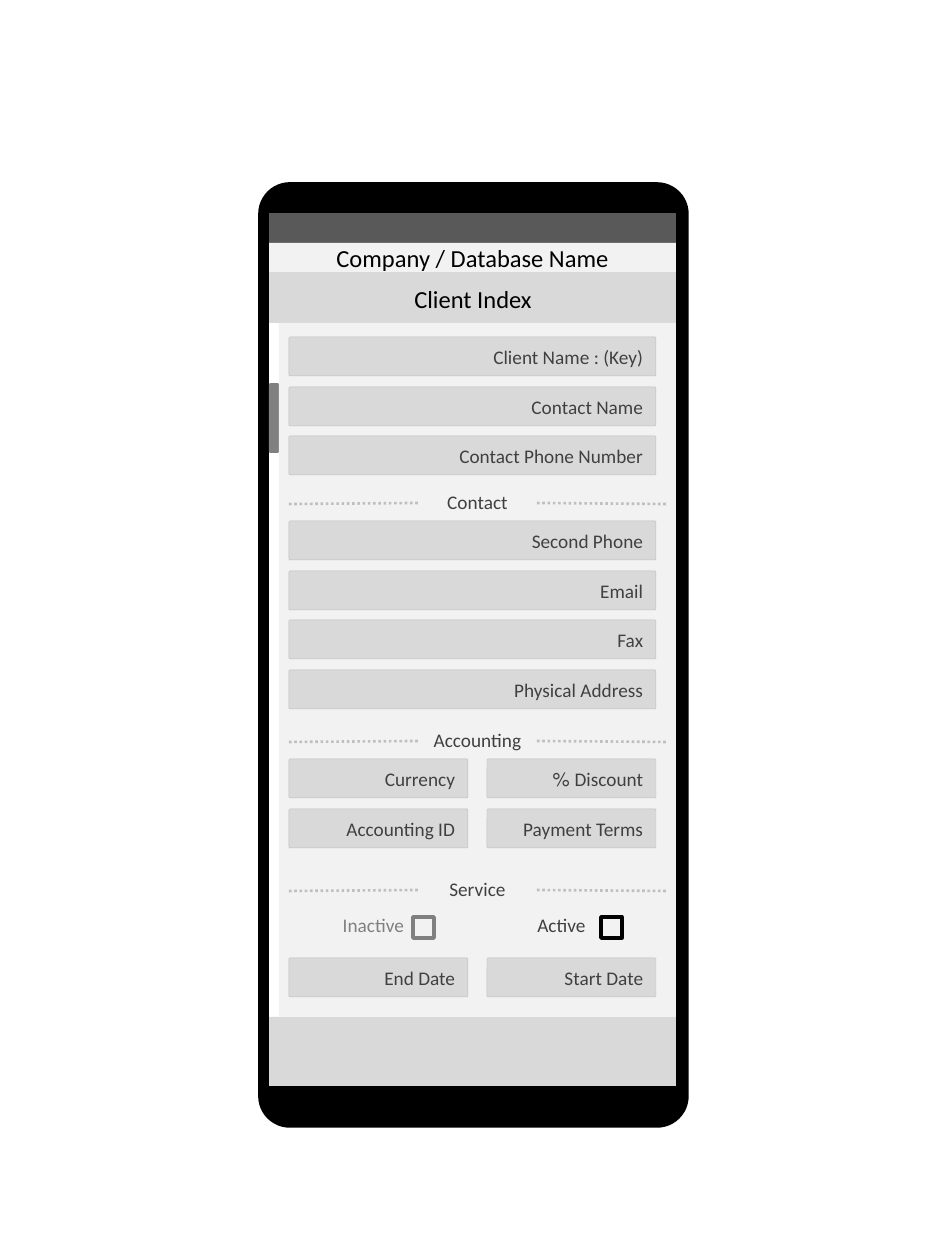
"""Build a phone wireframe of a client index form."""
from lxml.etree import SubElement
from pptx import Presentation
from pptx.dml.color import RGBColor
from pptx.enum.dml import MSO_LINE
from pptx.enum.shapes import MSO_CONNECTOR, MSO_SHAPE
from pptx.enum.text import MSO_ANCHOR, PP_ALIGN
from pptx.oxml.ns import qn
from pptx.util import Pt

PX = 914400 / 126
COLORS = {
    "black": "000000", "white": "FFFFFF", "status": "595959", "page": "F2F2F2",
    "panel": "D9D9D9", "border": "BFBFBF", "muted": "808080", "text": "404040",
}

presentation = Presentation()
presentation.slide_width = round(945 * PX)
presentation.slide_height = round(1260 * PX)
slide = presentation.slides.add_slide(presentation.slide_layouts[6])


def add_box(box, fill=None, line=None, width=0.25, radius=None):
    kind = MSO_SHAPE.RECTANGLE if radius is None else MSO_SHAPE.ROUNDED_RECTANGLE
    shape = slide.shapes.add_shape(kind, *[round(value * PX) for value in box])
    shape.shadow.inherit = False
    if radius is not None:
        shape.adjustments[0] = radius
    if fill:
        shape.fill.solid()
        shape.fill.fore_color.rgb = RGBColor.from_string(COLORS[fill])
    else:
        shape.fill.background()
    if line:
        shape.line.color.rgb = RGBColor.from_string(COLORS[line])
        shape.line.width = Pt(width)
    else:
        shape.line.fill.background()
    return shape


def write(shape, text, size=11, color="text", align=PP_ALIGN.CENTER):
    shape.text_frame.word_wrap = True
    shape.text_frame.vertical_anchor = MSO_ANCHOR.MIDDLE
    paragraph = shape.text_frame.paragraphs[0]
    paragraph.text = text
    paragraph.alignment = align
    paragraph.font.name = "Calibri"
    paragraph.font.size = Pt(size)
    paragraph.font.color.rgb = RGBColor.from_string(COLORS[color])
    return paragraph


add_box((260, 184, 427, 942), "black", "black", 2, 0.07)
for top, height, fill in [
    (213, 30, "status"), (243, 843, "white"), (253, 70, "panel"), (1017, 69, "panel"),
]:
    add_box((269, top, 407, height), fill)

write(add_box((269, 243, 407, 29), "page"), "Company / Database Name", 14, "black")
add_box((269, 383, 10, 70), "muted", radius=0.17)
write(add_box((339, 284, 268, 29), "panel"), "Client Index", 14, "black")
add_box((279, 323, 397, 694), "page")

FULL, LEFT, RIGHT = (289, 367), (289, 179), (487, 169)
FIELDS = [
    (FULL, 337, ["Client Name : (Key)", "Contact Name", "Contact Phone Number"]),
    (FULL, 521, ["Second Phone", "Email", "Fax", "Physical Address"]),
    (LEFT, 759, ["Currency", "Accounting ID"]),
    (RIGHT, 759, ["Discount %", "Payment Terms"]),
    (LEFT, 958, ["End Date"]),
    (RIGHT, 958, ["Start Date"]),
]
for (left, width), first_top, names in FIELDS:
    for row, name in enumerate(names):
        box = (left, first_top + round(row * 49.6), width, 39)
        field = add_box(box, "panel", "border", radius=0.03)
        paragraph = write(field, name, align=PP_ALIGN.RIGHT)
        paragraph._p.get_or_add_pPr().set("rtl", "1")

for name, top in [("Contact", 484), ("Accounting", 722), ("Service", 871)]:
    write(add_box((418, top, 119, 36), radius=0.03), name)
    for ends in [(289, top + 20, 418, top + 19), (537, top + 19, 666, top + 20)]:
        divider = slide.shapes.add_connector(
            MSO_CONNECTOR.STRAIGHT, *[round(value * PX) for value in ends])
        divider.line.color.rgb = RGBColor.from_string(COLORS["border"])
        divider.line.width = Pt(1.5)
        divider.line.dash_style = MSO_LINE.ROUND_DOT
        SubElement(divider._element.spPr, qn("a:effectLst"))

for name, left, text_color, box_color in [
    ("Active", 512, "text", "black"), ("Inactive", 324, "muted", "muted"),
]:
    write(add_box((left, 907, 99, 36), radius=0.03), name, color=text_color)
    add_box((left + 89, 917, 21, 21), line=box_color, width=2)

presentation.save("out.pptx")
